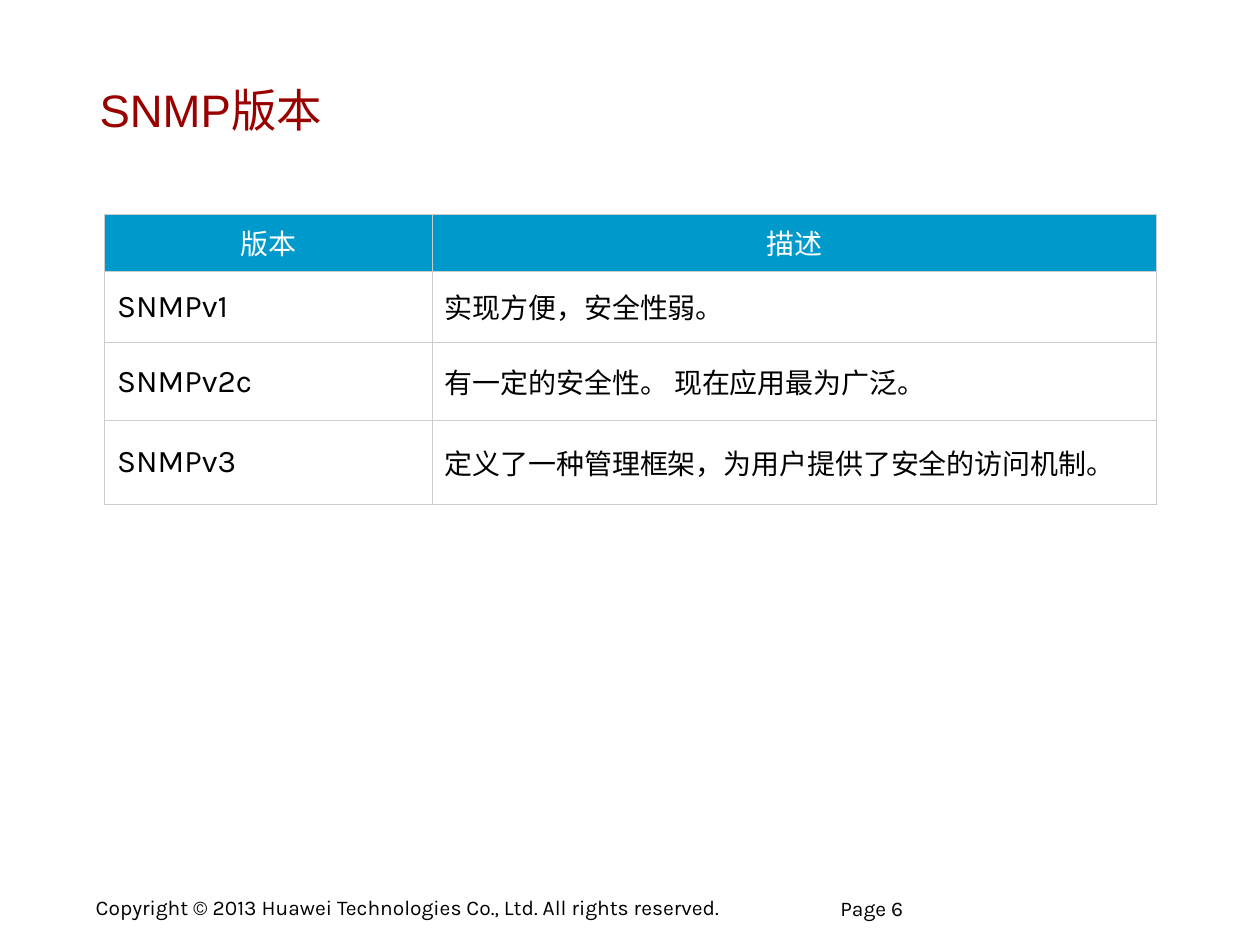
from lxml.etree import SubElement
from pptx import Presentation
from pptx.dml.color import RGBColor
from pptx.enum.text import MSO_ANCHOR as Anchor, PP_ALIGN as Align
from pptx.oxml.ns import qn
from pptx.util import Inches, Pt

COLORS = {
    "title": "990000",
    "text": "000000",
    "header_fill": "0099CC",
    "header_text": "FFFFFF",
    "body_fill": "FFFFFF",
    "border": "CCCCCC",
}
VERSIONS = [
    ("版本", "描述"),
    ("SNMPv1", "实现方便，安全性弱。"),
    ("SNMPv2c", "有一定的安全性。 现在应用最为广泛。"),
    ("SNMPv3", "定义了一种管理框架，为用户提供了安全的访问机制。"),
]
COLUMN_WIDTHS = [2.6, 5.75]
ROW_HEIGHTS = [0.45, 0.57, 0.62, 0.66]


def rgb(name):
    return RGBColor.from_string(COLORS[name])


def style_font(paragraph, font_name, size, color):
    paragraph.font.name = font_name
    paragraph.font.size = Pt(size)
    paragraph.font.color.rgb = rgb(color)


def add_text(slide, text, box, font_name, size, color="text",
             insets=(0.09, 0.04), anchor=Anchor.TOP, wrap=True):
    frame = slide.shapes.add_textbox(*map(Inches, box)).text_frame
    frame.word_wrap = wrap
    frame.vertical_anchor = anchor
    frame.margin_left = frame.margin_right = Inches(insets[0])
    frame.margin_top = frame.margin_bottom = Inches(insets[1])
    paragraph = frame.paragraphs[0]
    paragraph.text = text
    style_font(paragraph, font_name, size, color)
    return paragraph


def set_borders(cell):
    """Draw a thin line on all four sides; lines must precede the cell fill."""
    properties = cell._tc.get_or_add_tcPr()
    for side in ("lnL", "lnR", "lnT", "lnB"):
        line = SubElement(properties, qn(f"a:{side}"), w=str(Pt(0.34)))
        fill = SubElement(line, qn("a:solidFill"))
        SubElement(fill, qn("a:srgbClr"), val=COLORS["border"])


def fill_cell(cell, text, is_header, is_version):
    set_borders(cell)
    cell.fill.solid()
    cell.fill.fore_color.rgb = rgb("header_fill" if is_header else "body_fill")
    cell.vertical_anchor = Anchor.MIDDLE
    cell.text = text
    paragraph = cell.text_frame.paragraphs[0]
    if is_header:
        paragraph.alignment = Align.CENTER
        style_font(paragraph, "Arial", 16, "header_text")
    else:
        style_font(paragraph, "Karla", 18 if is_version else 16, "text")


def add_version_table(slide, left, top):
    table = slide.shapes.add_table(
        len(ROW_HEIGHTS), len(COLUMN_WIDTHS), Inches(left), Inches(top),
        Inches(sum(COLUMN_WIDTHS)), Inches(sum(ROW_HEIGHTS))).table
    for column, width in zip(table.columns, COLUMN_WIDTHS):
        column.width = Inches(width)
    for row, height in zip(table.rows, ROW_HEIGHTS):
        row.height = Inches(height)
    for r, texts in enumerate(VERSIONS):
        for c, text in enumerate(texts):
            fill_cell(table.cell(r, c), text, is_header=r == 0, is_version=c == 0)


def main():
    deck = Presentation()
    deck.slide_width, deck.slide_height = Inches(10), Inches(7.5)
    slide = deck.slides.add_slide(deck.slide_layouts[6])

    add_text(slide, "Copyright © 2013 Huawei Technologies Co., Ltd. All rights reserved.",
             (0.67, 7.06, 5.57, 0.29), "Karla", 12, wrap=False)
    add_text(slide, "SNMP版本", (0.7, 0.39, 8.45, 0.95), "Arial", 26, "title",
             anchor=Anchor.MIDDLE)
    page_number = add_text(slide, "Page 6", (6.67, 7.14, 1.66, 0.36), "Karla", 12,
                           insets=(0, 0))
    page_number.line_spacing = 0.85
    add_version_table(slide, 0.83, 1.7)

    deck.save("out.pptx")


if __name__ == "__main__":
    main()
